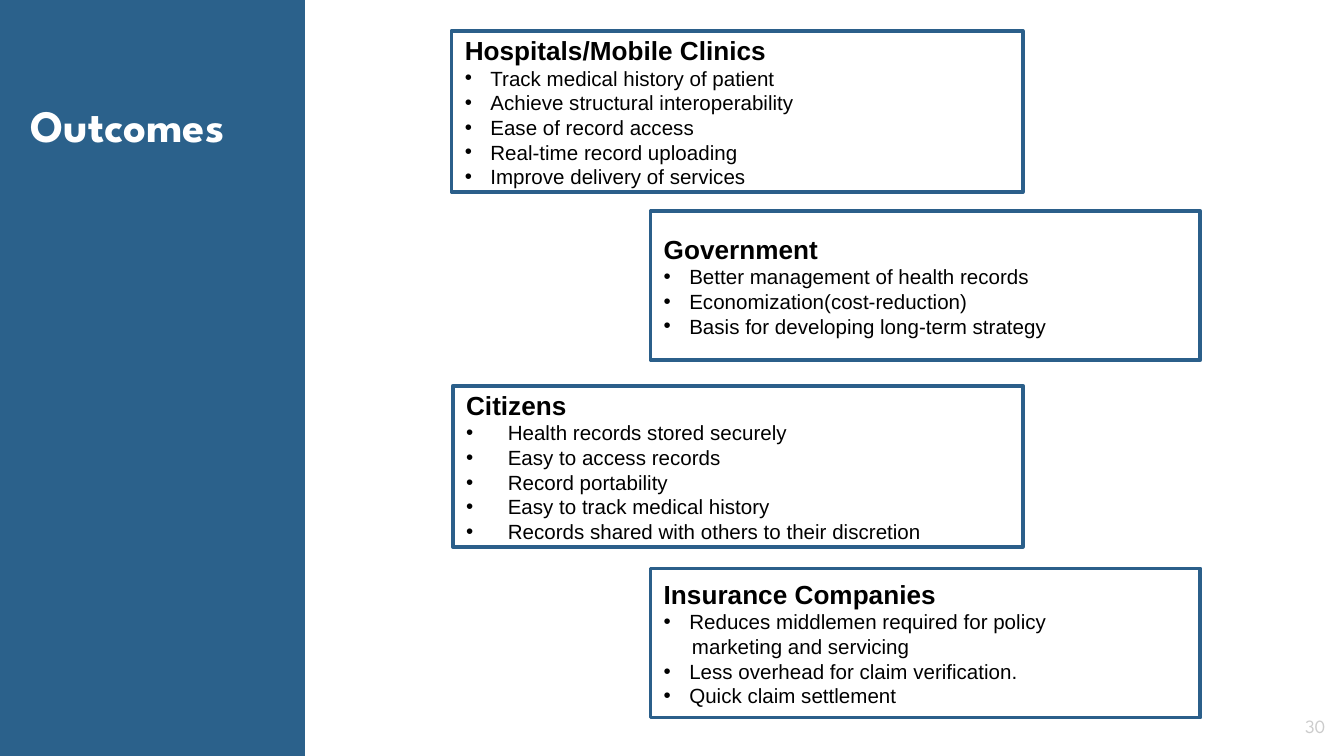
from lxml.etree import SubElement
from pptx import Presentation
from pptx.dml.color import RGBColor
from pptx.enum.shapes import MSO_SHAPE
from pptx.enum.text import MSO_ANCHOR, PP_ALIGN
from pptx.oxml.ns import qn
from pptx.util import Inches, Pt

BLUE = RGBColor(0x2B, 0x61, 0x8B)
BORDER = RGBColor(0x2B, 0x5F, 0x8A)
WHITE = RGBColor(0xFF, 0xFF, 0xFF)
BLACK = RGBColor(0x00, 0x00, 0x00)
GREY = RGBColor(0xCC, 0xCC, 0xCC)

SLIDE_WIDTH = 10
SLIDE_HEIGHT = SLIDE_WIDTH * 9 / 16
SIDEBAR_WIDTH = 2.27

CONTINUATION = "marketing and servicing"
OUTCOMES = [
    ((3.36, 0.23, 4.25, 1.2), 0.19, "Hospitals/Mobile Clinics", [
        "Track medical history of patient",
        "Achieve structural interoperability",
        "Ease of record access",
        "Real-time record uploading",
        "Improve delivery of services",
    ]),
    ((4.84, 1.57, 4.09, 1.11), 0.19, "Government", [
        "Better management of health records",
        "Economization(cost-reduction)",
        "Basis for developing long-term strategy",
    ]),
    ((3.37, 2.87, 4.24, 1.2), 0.31, "Citizens", [
        "Health records stored securely",
        "Easy to access records",
        "Record portability",
        "Easy to track medical history",
        "Records shared with others to their discretion",
    ]),
    ((4.84, 4.23, 4.09, 1.11), 0.19, "Insurance Companies", [
        "Reduces middlemen required for policy",
        CONTINUATION,
        "Less overhead for claim verification.",
        "Quick claim settlement",
    ]),
]


def write(paragraph, text, size, color, bold=False, font="Arial", align=PP_ALIGN.LEFT):
    paragraph.text = text
    paragraph.alignment = align
    style = paragraph.runs[0].font
    style.name, style.size, style.bold = font, Pt(size), bold
    style.color.rgb = color


def add_label(slide, place, text, size, color, bold, align, anchor):
    label = slide.shapes.add_textbox(*map(Inches, place))
    frame = label.text_frame
    frame.word_wrap = True
    frame.vertical_anchor = anchor
    frame.margin_left = frame.margin_right = Inches(0.1)
    frame.margin_top = frame.margin_bottom = Inches(0.1)
    write(frame.paragraphs[0], text, size, color, bold, "League Spartan", align)


def add_panel(slide, place):
    panel = slide.shapes.add_shape(MSO_SHAPE.RECTANGLE, *map(Inches, place))
    panel.shadow.inherit = False
    panel.fill.solid()
    panel.fill.fore_color.rgb = WHITE
    panel.line.fill.background()
    return panel


def indent(paragraph, left, bulleted):
    properties = paragraph._p.get_or_add_pPr()
    properties.set("marL", str(Inches(left)))
    if bulleted:
        properties.set("indent", str(-Inches(left)))
        bullet_color = SubElement(properties, qn("a:buClr"))
        SubElement(bullet_color, qn("a:srgbClr"), val=str(BLACK))
        SubElement(properties, qn("a:buFont"), typeface="Arial")
        SubElement(properties, qn("a:buChar"), char="•")


def add_outcome(slide, place, hanging, group, benefits):
    card = add_panel(slide, place)
    card.line.color.rgb = BORDER
    card.line.width = Pt(2)
    SubElement(card.line._get_or_add_ln(), qn("a:round"))
    frame = card.text_frame
    frame.word_wrap = True
    frame.vertical_anchor = MSO_ANCHOR.MIDDLE
    write(frame.paragraphs[0], group, 14, BLACK, bold=True)
    for benefit in benefits:
        paragraph = frame.add_paragraph()
        if benefit == CONTINUATION:
            indent(paragraph, 0.21, bulleted=False)
        else:
            indent(paragraph, hanging, bulleted=True)
        write(paragraph, benefit, 11, BLACK)


def main():
    """Build the Outcomes slide and save it."""
    deck = Presentation()
    deck.slide_width, deck.slide_height = Inches(SLIDE_WIDTH), Inches(SLIDE_HEIGHT)
    slide = deck.slides.add_slide(deck.slide_layouts[6])
    slide.background.fill.solid()
    slide.background.fill.fore_color.rgb = BLUE
    add_panel(slide, (SIDEBAR_WIDTH, 0, SLIDE_WIDTH - SIDEBAR_WIDTH, SLIDE_HEIGHT))
    add_label(slide, (0.13, 0.63, 2.07, 1), "Outcomes", 24, WHITE, True,
              PP_ALIGN.JUSTIFY, MSO_ANCHOR.TOP)
    add_label(slide, (9.36, 5.19, 0.6, 0.43), "30", 10, GREY, False,
              PP_ALIGN.RIGHT, MSO_ANCHOR.MIDDLE)
    for outcome in OUTCOMES:
        add_outcome(slide, *outcome)
    deck.save("out.pptx")


if __name__ == "__main__":
    main()
